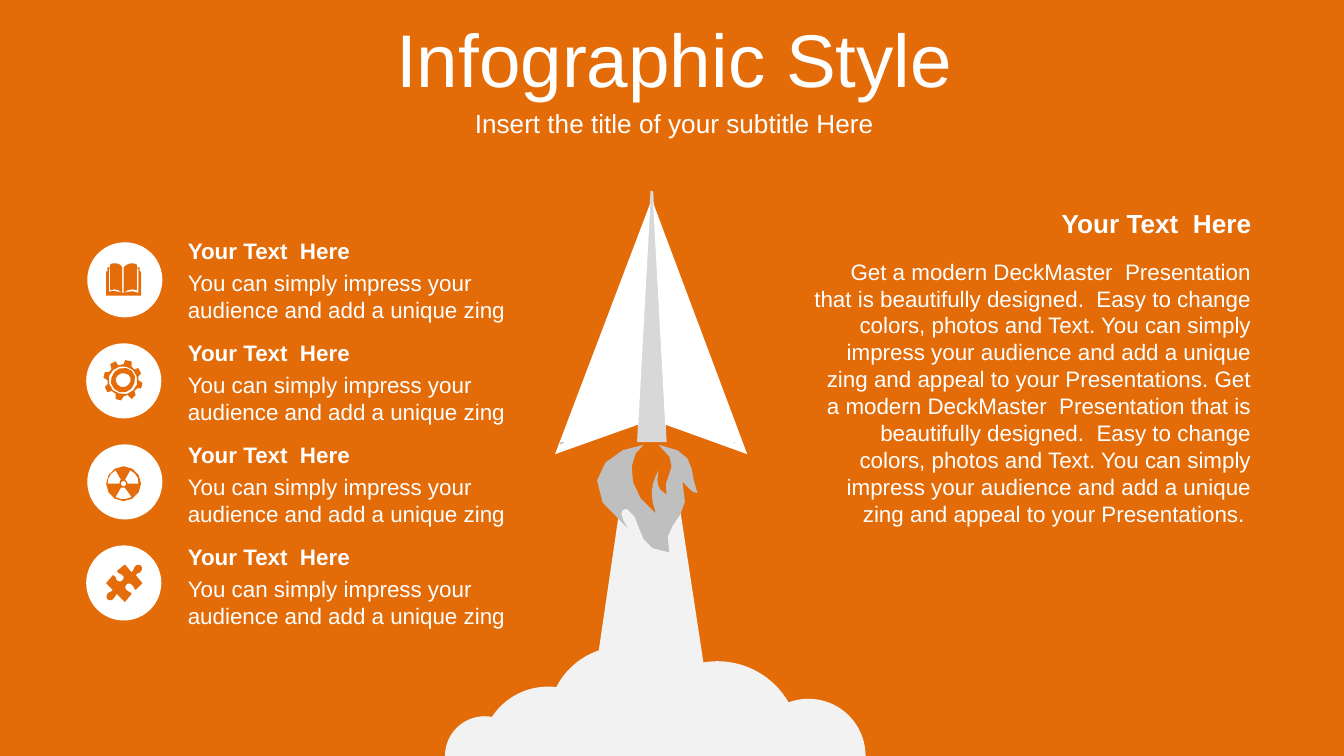
"""Build the paper plane infographic slide."""
import pptx
import pptx.dml.color
import pptx.enum.shapes
import pptx.enum.text
import pptx.util

Cm = pptx.util.Cm
Pt = pptx.util.Pt
MSO = pptx.enum.shapes.MSO_SHAPE
ALIGN = pptx.enum.text.PP_ALIGN
ANCHOR = pptx.enum.text.MSO_ANCHOR
ORANGE, ICON, WHITE = "E36C09", "E46C0A", "FFFFFF"
CLOUD, FOLD, FLAME = "F2F2F2", "D8D8D8", "BFBFBF"
UNIT = 0.0254


def paint(fill, color):
    fill.solid()
    fill.fore_color.rgb = pptx.dml.color.RGBColor.from_string(color)


def outline(shapes, path, color, steps):
    contours = []
    for token in path.split():
        n = [float(v) * UNIT for v in token[1:].split(",")]
        pts = list(zip(n[::2], n[1::2]))
        if token[0] == "M":
            contours.append(pts)
        elif token[0] == "L":
            contours[-1] += pts
        else:
            a, b, c, d = [contours[-1][-1]] + pts
            for t in (i / steps for i in range(1, steps + 1)):
                w = ((1 - t) ** 3, 3 * t * (1 - t) ** 2, 3 * t * t * (1 - t), t ** 3)
                contours[-1].append(tuple(
                    sum(k * p[axis] for k, p in zip(w, (a, b, c, d)))
                    for axis in (0, 1)))
    contours = [[(Cm(x), Cm(y)) for x, y in pts] for pts in contours]
    builder = shapes.build_freeform(*contours[0][0], scale=1.0)
    for i, pts in enumerate(contours):
        if i:
            builder.move_to(*pts[0])
        builder.add_line_segments(pts[1:], close=True)
    paint(builder.convert_to_shape().fill, color)


prs = pptx.Presentation()
prs.slide_width, prs.slide_height = Cm(25.4), Cm(14.29)
s = prs.slides.add_slide(prs.slide_layouts[6])
paint(s.background.fill, ORANGE)

rocket = [
    ("M434,562.6 L462,372 C468,372,483,388,489,388 L505,372 L534,562.6", CLOUD),
    ("M484,142 L474,329 L496,329 C493,271,489,200,486,142", FOLD),
    ("M486,151 L556,338 L495,316", WHITE),
    ("M484,151 L413,338 L475,316", WHITE),
    ("M479,331 C467,338,464,365,488,382 C482,366,486,358,490,350 "
     "C490,354,486,363,496,368 C491,353,511,348,490,331 "
     "C521,336,512,351,519,367 C514,368,506,354,508,360 "
     "C517,387,490,388,498,411 C471,410,479,385,467,379 "
     "C463,378,459,381,467,393 C422,360,453,333,479,331 "
     "M546,329 L547,329 L546,330 M417,329 L420,329 L417,331", FLAME),
]
for path, color in rocket:
    outline(s.shapes, path, color, 5)

puffs = [
    (9.09, 12.98, 2.54, 106.14, 1.41),
    (12.01, 12.5, 3.1, 103.42, 6.56),
    (10.36, 12.22, 2.82, 106.14, 1.41),
    (14.2, 13.21, 2.16, 106.14, 1.41),
    (8.41, 13.54, 1.5, 106.14, 1.41),
]
for left, top, size, start, end in puffs:
    sp = s.shapes.add_shape(MSO.CHORD, Cm(left), Cm(top), Cm(size), Cm(size))
    sp.adjustments[0], sp.adjustments[1] = start, end
    paint(sp.fill, CLOUD)

book = (
    "M91,218 L92,218 "
    "C96,217,98,216,103,218 L103,200 L102,200 "
    "L102,216 C99,215,95,215,92,218 L92,199 "
    "C94,197,96,196,98,196 C99,196,100,196,102,197 L102,199 L104,199 L104,202 "
    "L105,202 L105,220 L79,220 L79,202 L80,202 L80,199 L82,199 L82,197 "
    "C83,196,84,196,86,196 C88,196,90,197,91,199 L91,218 "
    "C88,215,85,215,82,216 L82,200 L81,200 L81,217 C85,216,88,217,91,218")
gear = (
    "M93,278 C90,277,87,279,86,282 C86,284,87,287,90,288 "
    "C93,289,96,287,97,284 C98,281,96,278,93,278 "
    "M94,274 C99,275,102,280,100,285 C99,290,94,293,89,292 "
    "C84,290,81,285,83,281 C84,276,89,273,94,274 "
    "M94,273 C89,271,83,275,81,280 C80,286,83,292,89,293 "
    "C95,295,100,291,102,286 C103,280,100,274,94,273 "
    "M98,269 L98,273 L100,275 L103,274 L105,278 L103,280 "
    "L103,283 L106,285 L105,289 L102,289 "
    "L100,291 L101,294 L98,297 L95,294 "
    "L92,295 L90,298 L86,297 L86,293 "
    "L83,291 L80,292 L78,288 L80,286 "
    "L80,283 L77,281 L78,277 L81,277 "
    "L83,275 L82,271 L86,269 L88,272 "
    "L92,271 L93,268")
radiation = (
    "M90,363 L86,370 C89,372,94,372,98,370 L93,363 L92,363 "
    "M92,358 C91,358,90,359,90,360 C90,361,91,362,92,362 "
    "C93,362,94,361,94,360 C94,359,93,358,92,358 "
    "M97,350 L93,357 C94,358,95,359,95,360 L103,360 C104,356,101,352,97,350 "
    "M86,350 C82,352,80,356,80,360 L89,360 C89,359,89,358,90,357 "
    "M92,347 C99,347,105,353,105,360 C105,367,99,373,92,373 "
    "C85,373,79,367,79,360 C79,353,85,347,92,347")
puzzle = (
    "M105,421 C106,422,106,424,105,425 C104,427,102,426,101,428 L106,434 "
    "L101,439 C99,438,100,436,98,435 C97,434,95,434,94,435 "
    "C93,436,93,438,94,439 C96,441,97,440,98,442 L93,448 L87,442 "
    "C85,444,86,444,84,446 C83,447,81,447,80,446 C79,445,79,443,80,442 "
    "C81,440,83,441,84,439 L79,434 L84,428 C87,429,86,431,87,432 "
    "C89,433,90,433,91,432 C92,431,93,429,91,428 C89,426,89,428,87,425 "
    "L93,420 L98,426 C100,424,99,423,101,421 C102,420,104,420,105,421")

heading = "Your Text  Here"
body = "You can simply impress your audience and add a unique zing"
pitch = (
    "Get a modern DeckMaster  Presentation that is beautifully designed.  "
    "Easy to change colors, photos and Text. You can simply impress your "
    "audience and add a unique zing and appeal to your Presentations. ")
texts = [
    (15.11, 4.75, 8.79, 5.38, pitch * 2, 12, False, ALIGN.RIGHT, ANCHOR.TOP),
    (15.11, 3.8, 8.79, 0.86, heading, 14, True, ALIGN.RIGHT, ANCHOR.TOP),
    (0.08, 0.33, 25.32, 1.52, "Infographic Style", 40, False,
     ALIGN.CENTER, ANCHOR.MIDDLE),
    (0.12, 1.93, 25.25, 0.79, "Insert the title of your subtitle Here", 14, False,
     ALIGN.CENTER, ANCHOR.MIDDLE),
]
for i, icon in enumerate((book, gear, radiation, puzzle)):
    left = 1.63 if i % 2 else 1.65
    sp = s.shapes.add_shape(MSO.OVAL, Cm(left), Cm(4.58 + 1.91 * i), Cm(1.42), Cm(1.42))
    paint(sp.fill, WHITE)
    outline(s.shapes, icon, ICON, 3)
    top = 4.35 + 1.93 * i
    texts += [
        (3.3, top + 0.61, 7.01, 1.27, body, 12, False, ALIGN.LEFT, ANCHOR.TOP),
        (3.3, top, 7.01, 0.76, heading, 12, True, ALIGN.LEFT, ANCHOR.TOP),
    ]

for left, top, width, height, text, size, bold, align, anchor in texts:
    sp = s.shapes.add_textbox(Cm(left), Cm(top), Cm(width), Cm(height))
    tf = sp.text_frame
    p = tf.paragraphs[0]
    r = p.add_run()
    formats = {
        tf: {"word_wrap": True, "vertical_anchor": anchor},
        p: {"alignment": align},
        r: {"text": text},
        r.font: {"name": "Arial", "size": Pt(size), "bold": bold},
    }
    for target, values in formats.items():
        for name, value in values.items():
            setattr(target, name, value)
    paint(r.font.fill, WHITE)

for sp in s.shapes:
    sp.shadow.inherit = False
    sp.line.fill.background()

prs.save("out.pptx")
